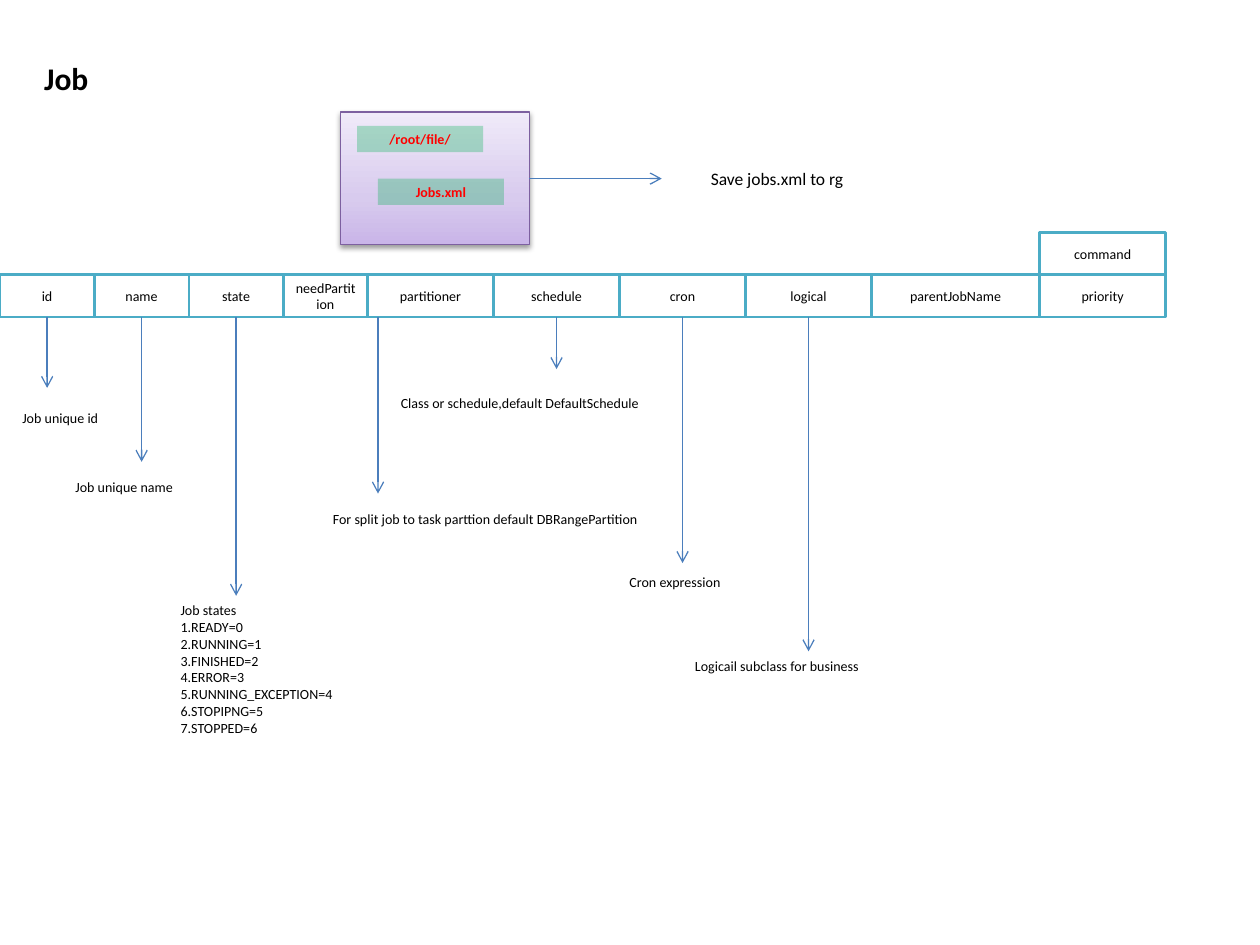
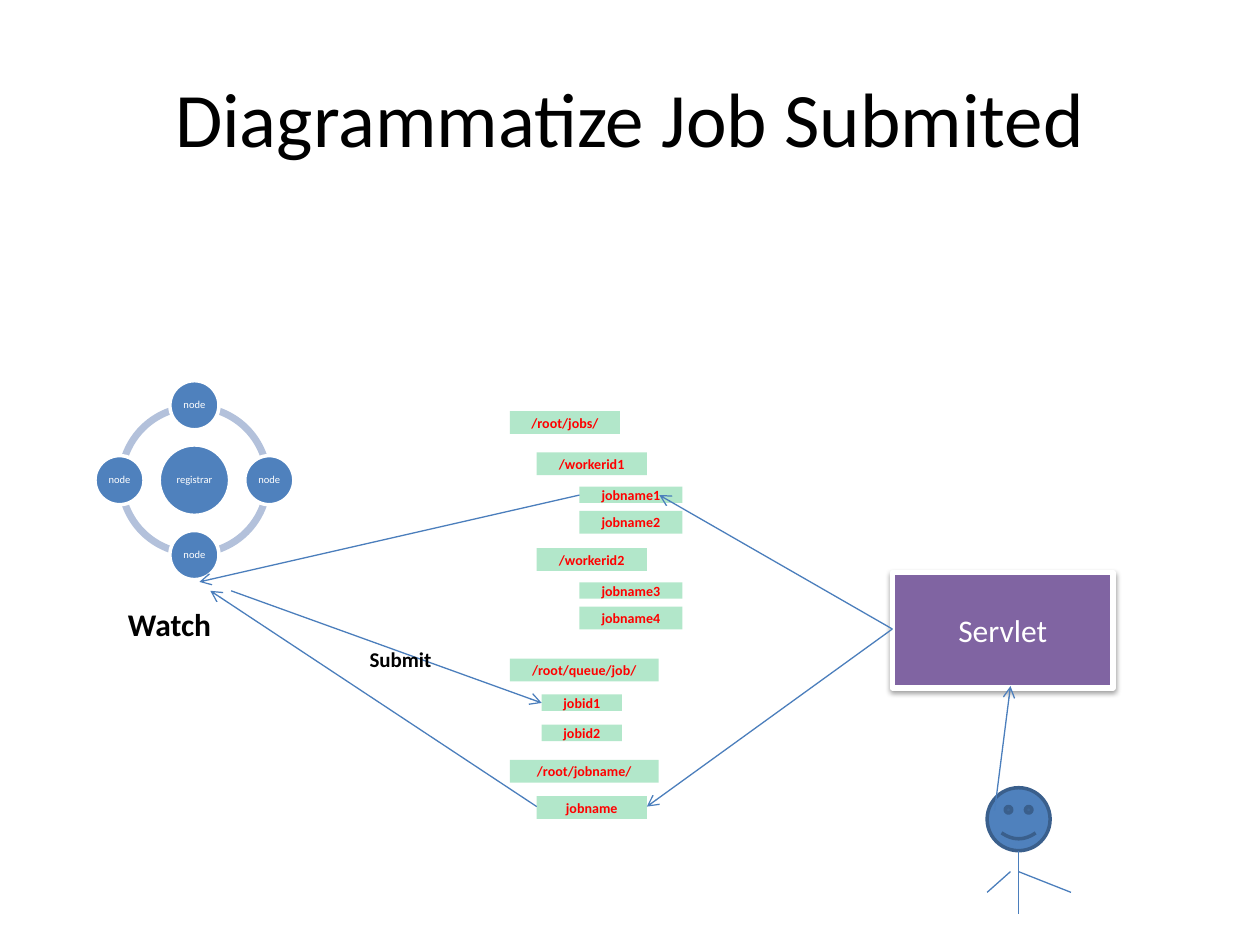
"""Build two slides on job fields and on how a job is submitted."""
import copy
import math

import lxml.etree
import pptx
import pptx.dml.color
import pptx.enum.shapes
import pptx.enum.text
import pptx.oxml
import pptx.oxml.ns
import pptx.util

Cm, Pt = pptx.util.Cm, pptx.util.Pt
SHAPE = pptx.enum.shapes.MSO_SHAPE
ALIGN = pptx.enum.text.PP_ALIGN
ANCHOR = pptx.enum.text.MSO_ANCHOR
qn = pptx.oxml.ns.qn

COLORS = {
    "ink": "000000", "white": "FFFFFF", "red": "FF0000", "green": "00B050",
    "teal": "4BACC6", "arrow": "4B7EBC", "blue": "4F81BD", "navy": "3A5F8C",
    "ring": "B3C1DB", "purple": "8064A2", "violet": "7D60A0",
    "lilac1": "C9B5E8", "lilac2": "D8CBEE", "lilac3": "F0EAF9",
}


def rgb(name):
    return pptx.dml.color.RGBColor.from_string(COLORS[name])


def write(tf, text, size=8, color="ink", bold=False, align=ALIGN.LEFT,
          anchor=ANCHOR.TOP, inset=None, spacing=None):
    tf.word_wrap = True
    tf.vertical_anchor = anchor
    if inset is not None:
        tf.margin_left = tf.margin_right = Cm(inset)
        tf.margin_top = tf.margin_bottom = Cm(inset)
    for i, line in enumerate(text.split("\n")):
        p = tf.add_paragraph() if i else tf.paragraphs[0]
        p.alignment = align
        if spacing:
            p.line_spacing = spacing
        r = p.add_run()
        r.text = line
        r.font.name = "Calibri"
        r.font.size = Pt(size)
        r.font.bold = bold
        r.font.color.rgb = rgb(color)


class Deck:
    """Hold the style and the current slide."""

    def __init__(self):
        self.prs = pptx.Presentation()
        self.prs.slide_width, self.prs.slide_height = Cm(25.4), Cm(19.05)

    def new_slide(self):
        self.s = self.prs.slides.add_slide(self.prs.slide_layouts[6])

    def shape(self, x, y, w, h, kind=SHAPE.RECTANGLE, fill="white", line=None,
              width=0.75, text=None, **fmt):
        sp = self.s.shapes.add_shape(kind, Cm(x), Cm(y), Cm(w), Cm(h))
        sp.shadow.inherit = False
        sp.fill.solid()
        sp.fill.fore_color.rgb = rgb(fill)
        if line:
            sp.line.color.rgb = rgb(line)
            sp.line.width = Pt(width)
        else:
            sp.line.fill.background()
        if text:
            write(sp.text_frame, text, align=ALIGN.CENTER,
                  anchor=ANCHOR.MIDDLE, **fmt)
        return sp

    def text(self, x, y, w, h, text, **fmt):
        sp = self.s.shapes.add_textbox(Cm(x), Cm(y), Cm(w), Cm(h))
        write(sp.text_frame, text, **fmt)

    def cell(self, x, y, w, h, text):
        self.shape(x, y, w, h, line="teal", width=1.5, text=text)

    def tag(self, x, y, w, h, text):
        sp = self.shape(x, y, w, h, fill="green", text=text, color="red",
                        bold=True)
        clr = sp._element.spPr.find(".//" + qn("a:srgbClr"))
        lxml.etree.SubElement(clr, qn("a:alpha"), val="30000")

    def line(self, x1, y1, x2, y2, arrow=True):
        sp = self.s.shapes.add_connector(
            pptx.enum.shapes.MSO_CONNECTOR.STRAIGHT,
            Cm(x1), Cm(y1), Cm(x2), Cm(y2))
        sp.line.color.rgb = rgb("arrow")
        sp.line.width = Pt(0.75)
        spPr = sp._element.spPr
        if arrow:
            lxml.etree.SubElement(spPr.find(qn("a:ln")), qn("a:tailEnd"),
                                  type="arrow")
        lxml.etree.SubElement(spPr, qn("a:effectLst"))

    def drop_shadow(self, sp):
        effects = sp._element.spPr.find(qn("a:effectLst"))
        shadow = lxml.etree.SubElement(
            effects, qn("a:outerShdw"), blurRad="40000", dist="20000",
            dir="5400000", rotWithShape="0")
        clr = lxml.etree.SubElement(shadow, qn("a:srgbClr"),
                                    val=COLORS["ink"])
        lxml.etree.SubElement(clr, qn("a:alpha"), val="38000")

    def gradient(self, sp, stops):
        sp.fill.gradient()
        sp.fill.gradient_angle = 90
        gs_list = sp._element.spPr.find(".//" + qn("a:gsLst"))
        while len(gs_list) < len(stops):
            gs_list.append(copy.deepcopy(gs_list[0]))
        for stop, (position, color) in zip(sp.fill.gradient_stops, stops):
            stop.position = position
            stop.color.rgb = rgb(color)

    def ring(self, cx, cy, hub, node):
        size, orbit = 3.1, 1.51
        for i in range(4):
            arc = self.shape(cx - size / 2, cy - size / 2, size, size,
                             SHAPE.BLOCK_ARC, "ring")
            arc.adjustments[0] = 54 * i
            arc.adjustments[1] = 54 * (i + 1) % 216
            arc.adjustments[2] = 0.046
        self.disc(cx, cy, 1.42, hub)
        for i in range(4):
            angle = math.pi / 2 * (i - 1)
            self.disc(cx + orbit * math.cos(angle),
                      cy + orbit * math.sin(angle), 0.99, node)

    def disc(self, cx, cy, d, text):
        self.shape(cx - d / 2, cy - d / 2, d, d, SHAPE.OVAL, "blue", "white",
                   2, text, size=6, color="white", inset=0.03, spacing=0.9)


def job_slide(deck):
    deck.new_slide()
    store = deck.shape(6.86, 2.26, 3.81, 2.67, line="violet")
    deck.gradient(store, [(0, "lilac1"), (0.35, "lilac2"), (1, "lilac3")])
    deck.drop_shadow(store)
    deck.text(0.64, 1.07, 6.15, 1.07, "Job", size=18, bold=True)

    states = ["READY", "RUNNING", "FINISHED", "ERROR", "RUNNING_EXCEPTION",
              "STOPIPNG", "STOPPED"]
    state_note = "\n".join(["Job states"] + [
        f"{i + 1}.{name}={i}" for i, name in enumerate(states)])
    fields = [("id", 1.9), ("name", 1.91), ("state", 1.9),
              ("needPartition", 1.7), ("partitioner", 2.54),
              ("schedule", 2.54), ("cron", 2.54), ("logical", 2.54),
              ("parentJobName", 3.39), ("priority", 2.54)]
    notes = {
        "id": (7.82, 0.2, 8.13, 2.12, "Job unique id"),
        "name": (9.31, 1.27, 9.53, 2.96, "Job unique name"),
        "state": (12.01, 3.39, 12.01, 5.08, state_note),
        "partitioner": (9.95, 6.46, 10.16, 7.32,
                        "For split job to task parttion default "
                        "DBRangePartition"),
        "schedule": (7.44, 7.83, 7.83, 6.35,
                     "Class or schedule,default DefaultSchedule"),
        "cron": (11.35, 12.44, 11.43, 3.07, "Cron expression"),
        "logical": (13.13, 13.76, 13.13, 6.56,
                    "Logicail subclass for business"),
    }
    top, h, x = 5.54, 0.85, 0
    for name, w in fields:
        deck.cell(x, top, w, h, name)
        if name in notes:
            end, left, y, width, note = notes[name]
            start = 7.62 if name == "partitioner" else x + w / 2
            deck.line(start, top + h, start, end)
            deck.text(left, y, width, 3 if "\n" in note else 0.6, note)
        x += w
    deck.cell(x - w, top - h, w, h, "command")

    deck.tag(7.2, 2.54, 2.54, 0.53, "/root/file/")
    deck.tag(7.62, 3.6, 2.54, 0.53, "Jobs.xml")
    deck.line(10.67, 3.6, 13.34, 3.6)
    deck.text(14.08, 3.26, 3.39, 0.68, "Save jobs.xml to rg", size=10)


def submit_slide(deck):
    deck.new_slide()
    deck.text(1.27, 0.76, 22.86, 3.18, "Diagrammatize Job Submited", size=44,
              align=ALIGN.CENTER, anchor=ANCHOR.MIDDLE)
    servlet = deck.shape(17.99, 11.54, 4.45, 2.33, fill="purple",
                         line="white", width=3, text="Servlet", size=18,
                         color="white")
    deck.drop_shadow(servlet)

    deck.shape(19.9, 15.88, 1.27, 1.27, SHAPE.SMILEY_FACE, "blue", "navy", 2)
    deck.line(20.53, 17.15, 20.53, 18.42, arrow=False)
    deck.line(20.37, 17.57, 19.9, 17.99, arrow=False)
    deck.line(20.53, 17.57, 21.59, 17.99, arrow=False)
    deck.line(20.05, 16.34, 20.37, 13.83)

    tall, low = 0.46, 0.33
    deck.tag(10.28, 8.29, 2.22, tall, "/root/jobs/")
    for i in range(2):
        y = 9.12 + 1.93 * i
        deck.tag(10.82, y, 2.22, tall, f"/workerid{i + 1}")
        deck.tag(11.68, y + 0.69, 2.08, low, f"jobname{2 * i + 1}")
        deck.tag(11.68, y + 1.18, 2.08, tall, f"jobname{2 * i + 2}")
    deck.tag(10.28, 13.28, 3, tall, "/root/queue/job/")
    for i in range(2):
        deck.tag(10.92, 14 + 0.61 * i, 1.62, low, f"jobid{i + 1}")
    deck.tag(10.28, 15.32, 3, tall, "/root/jobname/")
    deck.tag(10.82, 16.05, 2.22, tall, "jobname")

    deck.ring(3.92, 9.68, "registrar", "node")
    for ends in [(17.99, 12.68, 13.29, 9.98), (17.99, 12.68, 13.04, 16.26),
                 (11.68, 9.98, 4.02, 11.73), (10.82, 16.26, 4.24, 11.91),
                 (4.66, 11.91, 10.92, 14.17)]:
        deck.line(*ends)
    deck.text(2.33, 12.07, 2.33, 1.02, "Watch", size=18, bold=True)
    deck.text(7.2, 12.9, 2.75, 0.76, "Submit", size=12, bold=True)


deck = Deck()
job_slide(deck)
submit_slide(deck)
deck.prs.save("out.pptx")
